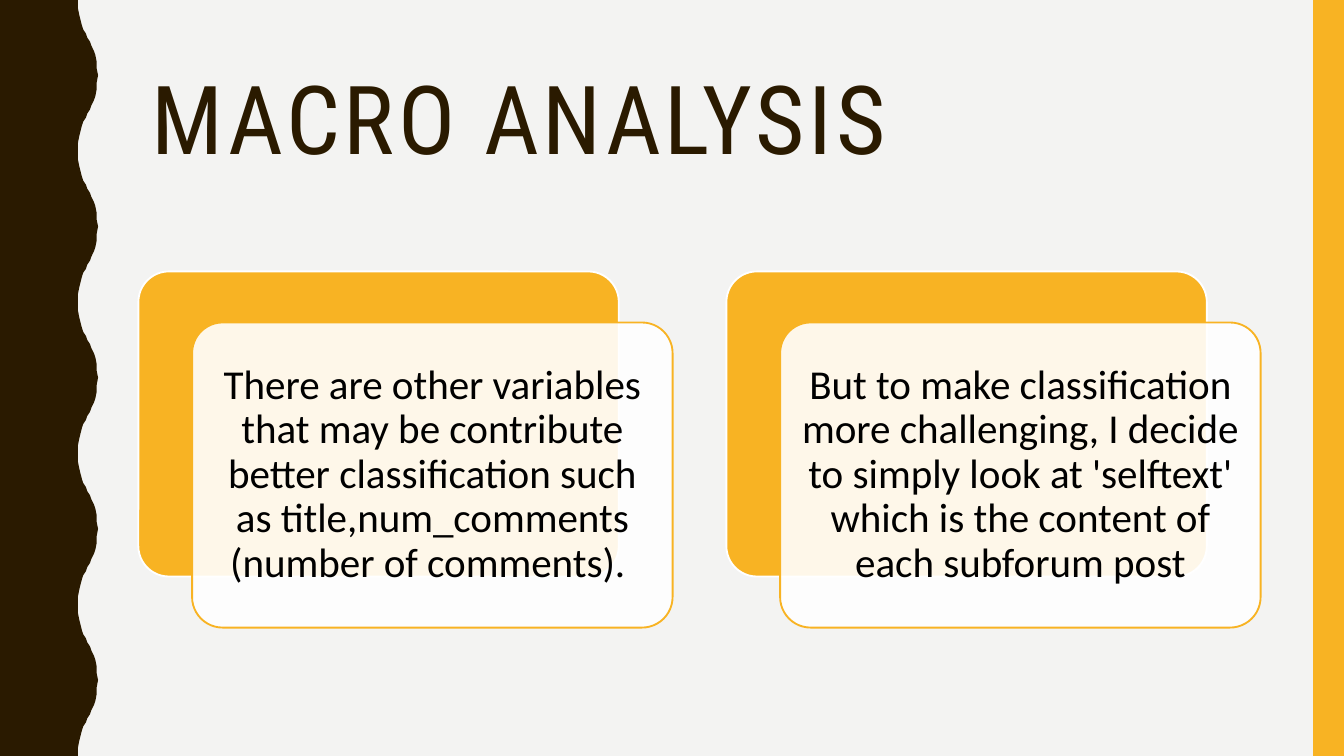
from lxml import etree
from pptx import Presentation
from pptx.dml.color import RGBColor
from pptx.enum import shapes, text
from pptx.oxml.ns import qn
from pptx.util import Inches, Pt

WIDTH = 10
HEIGHT = WIDTH * 9 / 16
DARK, GOLD, WHITE, BLACK, PAPER = "2A1A00", "F8B323", "FFFFFF", "000000", "F3F3F2"
CARD_TEXTS = [
    "There are other variables that may be contribute better classification "
    "such as title,num_comments (number of comments). ",
    "But to make classification more challenging, I decide to simply look at "
    "'selftext' which is the content of each subforum post",
]
# One trough-to-crest stretch of the wavy edge: (x, y) in inches
HALF_WAVE = [(0.58, 0), (0.58, 0.06), (0.59, 0.11), (0.6, 0.15), (0.61, 0.19),
             (0.62, 0.22), (0.64, 0.25), (0.65, 0.28), (0.67, 0.31), (0.68, 0.34),
             (0.7, 0.38), (0.71, 0.41), (0.72, 0.46), (0.72, 0.51), (0.73, 0.56)]
WAVES = 5


def color(value):
    return RGBColor.from_string(value)


def paint(shape, fill, line=None):
    shape.shadow.inherit = False
    shape.fill.solid()
    shape.fill.fore_color.rgb = color(fill)
    if line:
        shape.line.color.rgb = color(line)
        shape.line.width = Pt(1)
    else:
        shape.line.fill.background()


def add_box(slide, kind, box, fill, line=None):
    shape = slide.shapes.add_shape(kind, *map(Inches, box))
    paint(shape, fill, line)
    return shape


def write(shape, words, align, inset, font):
    frame = shape.text_frame
    settings = {"word_wrap": True, "auto_size": text.MSO_AUTO_SIZE.NONE,
                "vertical_anchor": text.MSO_ANCHOR.MIDDLE}
    settings.update({f"margin_{side}": Inches(inset)
                     for side in ("left", "top", "right", "bottom")})
    for name, value in settings.items():
        setattr(frame, name, value)
    paragraph = frame.paragraphs[0]
    paragraph.alignment = align
    paragraph.line_spacing = 0.9
    run = paragraph.add_run()
    run.text = words
    for name, value in font.items():
        if name == "color":
            run.font.color.rgb = color(value)
        else:
            setattr(run.font, name, value)
    return run


def add_wavy_band(slide, height):
    """Dark band on the left with a wavy right edge."""
    period = height / WAVES
    wave = HALF_WAVE + [(x, period - y) for x, y in reversed(HALF_WAVE[:-1])]
    edge = [(x, i * period + y) for i in range(WAVES) for x, y in wave]
    points = [(Inches(x), Inches(y)) for x, y in edge + [(0, height)]]
    builder = slide.shapes.build_freeform(0, 0)
    builder.add_line_segments(points, close=True)
    paint(builder.convert_to_shape(), DARK)


def add_title(slide, box, words):
    title = slide.shapes.title
    title.left, title.top, title.width, title.height = map(Inches, box)
    run = write(title, words, text.PP_ALIGN.LEFT, 0.1,
                {"name": "Roboto Condensed", "size": Pt(51), "color": DARK})
    run.font._element.set("spc", "200")


def add_card(slide, box, words):
    """Gold card with a translucent white card in front, offset to the lower right."""
    left, top, width, height = box
    offset_x, offset_y, pad = 0.4, 0.38, 0.07
    front_left, front_top = left + offset_x, top + offset_y
    card_size = (width - offset_x, height - offset_y)
    rounded = shapes.MSO_SHAPE.ROUNDED_RECTANGLE

    back = add_box(slide, rounded, (left, top, *card_size), GOLD, WHITE)
    front = add_box(slide, rounded, (front_left, front_top, *card_size), WHITE, GOLD)
    for card in (back, front):
        card.adjustments[0] = 0.1
    tint = front.fill._xPr.find(qn("a:solidFill"))[0]
    etree.SubElement(tint, qn("a:alpha"), val="90000")

    # Card text
    text_box = (front_left + pad, front_top + pad,
                card_size[0] - 2 * pad, card_size[1] - 2 * pad)
    label = slide.shapes.add_textbox(*map(Inches, text_box))
    write(label, words, text.PP_ALIGN.CENTER, 0.09,
          {"name": "Calibri", "size": Pt(22), "color": BLACK})


def main():
    presentation = Presentation()
    presentation.slide_width, presentation.slide_height = Inches(WIDTH), Inches(HEIGHT)
    slide = presentation.slides.add_slide(presentation.slide_layouts.get_by_name("Title Only"))
    slide.background.fill.solid()
    slide.background.fill.fore_color.rgb = color(PAPER)

    # Side decoration
    add_wavy_band(slide, HEIGHT)
    add_box(slide, shapes.MSO_SHAPE.RECTANGLE, (9.77, 0, 0.23, HEIGHT), GOLD)

    # Title and cards share the same left and right edges
    left, width, gap = 1.03, 8.35, 0.4
    add_title(slide, (left, 0.31, width, 1.22), "MACRO ANALYSIS")
    card_width = (width - gap) / len(CARD_TEXTS)
    for index, words in enumerate(CARD_TEXTS):
        card_left = left + index * (card_width + gap)
        add_card(slide, (card_left, 2.02, card_width, 2.65), words)

    presentation.save("out.pptx")


if __name__ == "__main__":
    main()
